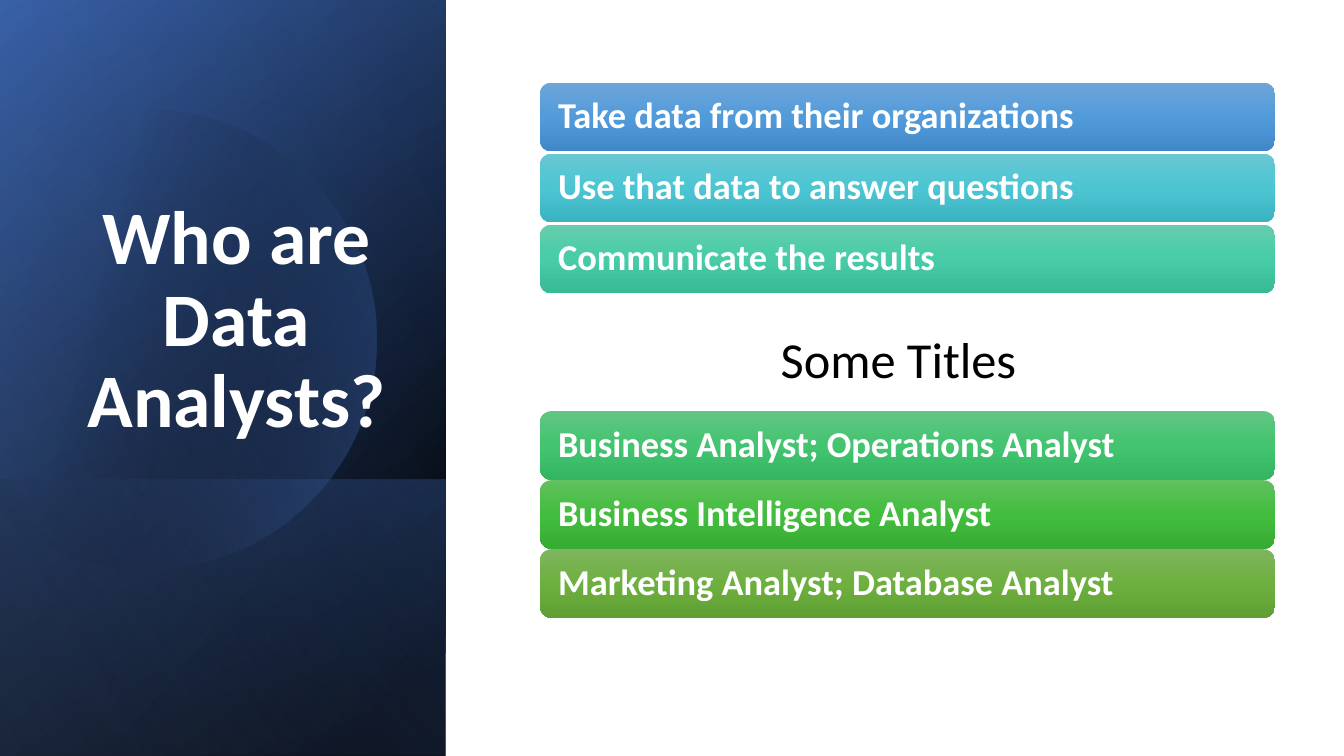
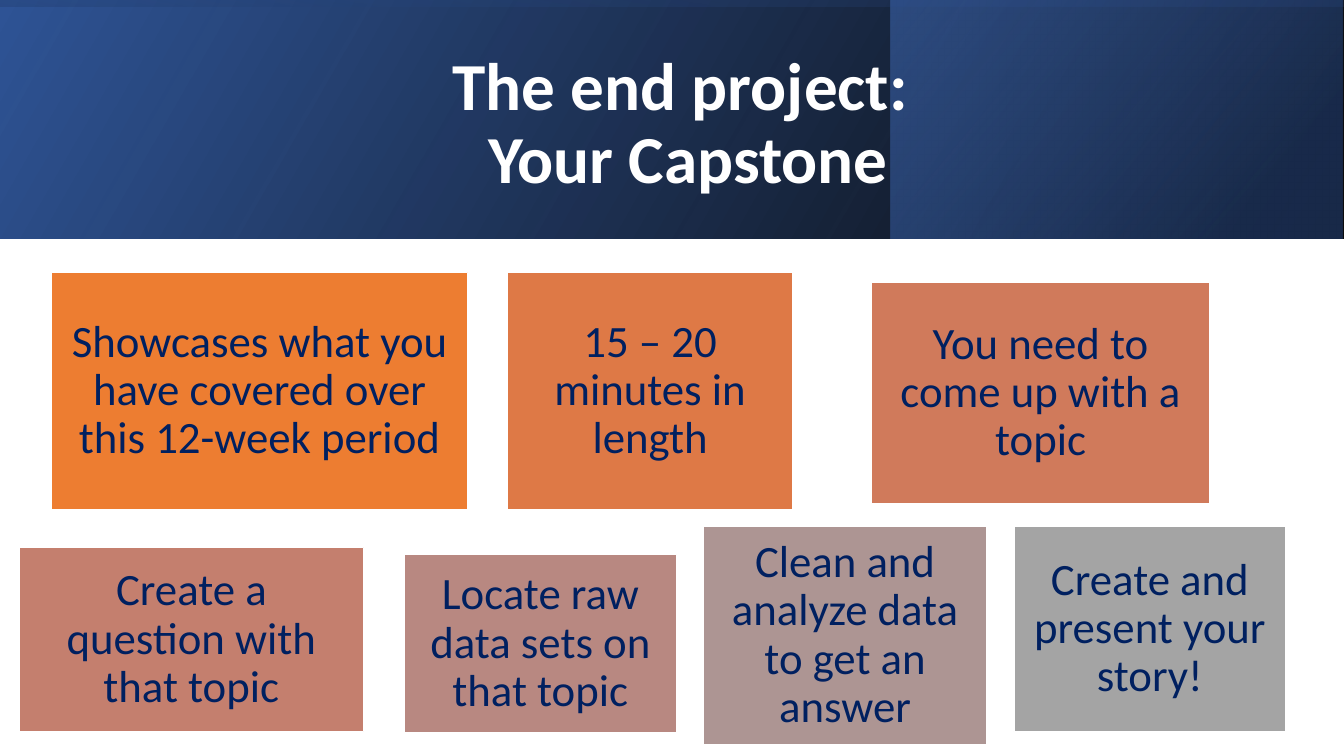
from math import acos, cos, sin

from pptx import Presentation
from pptx.dml.color import RGBColor
from pptx.enum.shapes import MSO_SHAPE
from pptx.enum.text import MSO_ANCHOR, PP_ALIGN
from pptx.oxml import parse_xml
from pptx.oxml.ns import nsdecls, qn
from pptx.util import Cm, Pt

PAGE_WIDTH, PAGE_HEIGHT = 33.87, 19.05
SIDE_WIDTH, BAND_HEIGHT = 11.23, 6.02

BLACK = RGBColor(0x00, 0x00, 0x00)
WHITE = RGBColor(0xFF, 0xFF, 0xFF)
NAVY = RGBColor(0x00, 0x20, 0x60)
BLUE = RGBColor(0x44, 0x72, 0xC4)
MID_BLUE = RGBColor(0x2F, 0x54, 0x96)
DARK_BLUE = RGBColor(0x1F, 0x38, 0x64)
PALE_BLUE = RGBColor(0x8D, 0xA9, 0xDB)

SKY = [RGBColor(0x6E, 0xA5, 0xDA), RGBColor(0x52, 0x9B, 0xDA), RGBColor(0x41, 0x88, 0xC8)]
TEAL = [RGBColor(0x6A, 0xC7, 0xD3), RGBColor(0x4C, 0xC5, 0xD3), RGBColor(0x3B, 0xB3, 0xC1)]
MINT = [RGBColor(0x66, 0xCD, 0xAE), RGBColor(0x47, 0xCC, 0xA7), RGBColor(0x37, 0xBB, 0x96)]
JADE = [RGBColor(0x62, 0xC6, 0x83), RGBColor(0x43, 0xC4, 0x70), RGBColor(0x33, 0xB5, 0x61)]
GREEN = [RGBColor(0x61, 0xC0, 0x5F), RGBColor(0x43, 0xBD, 0x3E), RGBColor(0x36, 0xAC, 0x32)]
OLIVE = [RGBColor(0x7E, 0xB5, 0x5F), RGBColor(0x6E, 0xB0, 0x3F), RGBColor(0x5F, 0x9F, 0x34)]

ORANGE = RGBColor(0xED, 0x7D, 0x31)
COPPER = RGBColor(0xDE, 0x79, 0x46)
CORAL = RGBColor(0xD0, 0x7A, 0x5B)
ROSE = RGBColor(0xC4, 0x7F, 0x6E)
DUSTY_ROSE = RGBColor(0xB8, 0x88, 0x81)
MAUVE = RGBColor(0xAD, 0x95, 0x93)
GREY = RGBColor(0xA4, 0xA4, 0xA4)


class Deck:
    """Holds the shared style and the slide being built."""

    font = "Calibri"

    def __init__(self):
        self.deck = Presentation()
        self.deck.slide_width = Cm(PAGE_WIDTH)
        self.deck.slide_height = Cm(PAGE_HEIGHT)
        self.page = None

    def new_page(self):
        self.page = self.deck.slides.add_slide(self.deck.slide_layouts[6])

    def shape(self, kind, left, top, width, height):
        shape = self.page.shapes.add_shape(kind, Cm(left), Cm(top), Cm(width), Cm(height))
        shape.shadow.inherit = False
        shape.line.fill.background()
        return shape

    def gradient(self, shape, stops, angle):
        stop_xml = "".join(
            f'<a:gs pos="{position * 1000}"><a:srgbClr val="{color}">'
            f'<a:alpha val="{opacity * 1000}"/></a:srgbClr></a:gs>'
            for position, color, opacity in stops
        )
        shape.fill.solid()
        properties = shape._element.spPr
        properties.replace(properties.find(qn("a:solidFill")), parse_xml(
            f'<a:gradFill {nsdecls("a")} rotWithShape="1"><a:gsLst>{stop_xml}</a:gsLst>'
            f'<a:lin ang="{angle * 60000}" scaled="0"/></a:gradFill>'
        ))

    def panel(self, left, top, width, height, stops, angle, turn=0):
        if turn:
            left, top = left + (width - height) / 2, top + (height - width) / 2
            width, height = height, width
        panel = self.shape(MSO_SHAPE.RECTANGLE, left, top, width, height)
        panel.rotation = turn
        panel._element.spPr.xfrm.set("flipH", "1")
        self.gradient(panel, stops, angle)

    def cut_circle(self, center_x, center_y, radius, stops, angle, steps=120):
        reach = acos(-center_x / radius)
        turns = [reach * (2 * step / steps - 1) for step in range(steps + 1)]
        points = [(Cm(center_x + radius * cos(turn)), Cm(center_y + radius * sin(turn)))
                  for turn in turns]
        builder = self.page.shapes.build_freeform(*points[0])
        builder.add_line_segments(points[1:], close=True)
        circle = builder.convert_to_shape()
        circle.shadow.inherit = False
        circle.line.fill.background()
        self.gradient(circle, stops, angle)

    def fill_text(self, box, text, size, color, bold=False, align=PP_ALIGN.CENTER,
                  anchor=MSO_ANCHOR.MIDDLE, inset=(0.25, 0.13), spacing=0.9):
        frame = box.text_frame
        frame.word_wrap = True
        frame.vertical_anchor = anchor
        frame.margin_left = frame.margin_right = Cm(inset[0])
        frame.margin_top = frame.margin_bottom = Cm(inset[1])
        para = frame.paragraphs[0]
        para.text = text
        para.alignment = align
        para.line_spacing = spacing
        for span in para.runs:
            span.font.name = self.font
            span.font.size = Pt(size)
            span.font.bold = bold
            span.font.color.rgb = color

    def text(self, left, top, width, height, text, size, color, **style):
        box = self.page.shapes.add_textbox(Cm(left), Cm(top), Cm(width), Cm(height))
        self.fill_text(box, text, size, color, **style)

    def title(self, left, top, width, height, text, size, anchor=MSO_ANCHOR.MIDDLE):
        self.text(left, top, width, height, text, size, WHITE, bold=True, anchor=anchor)

    def bars(self, top, pitch, rows):
        for index, (text, colors) in enumerate(rows):
            bar = self.shape(MSO_SHAPE.ROUNDED_RECTANGLE, 13.61, top + index * pitch, 18.52, 1.73)
            stops = [(position, color, 100) for position, color in zip((0, 50, 100), colors)]
            self.gradient(bar, stops, 90)
            self.fill_text(bar, text, 26, WHITE, bold=True, align=PP_ALIGN.LEFT,
                           inset=(0.37, 0.28))

    def card(self, left, top, width, height, color, text):
        card = self.shape(MSO_SHAPE.RECTANGLE, left, top, width, height)
        card.fill.solid()
        card.fill.fore_color.rgb = color
        card.line.color.rgb = WHITE
        card.line.width = Pt(1)
        self.fill_text(card, text, 32, NAVY, inset=(0.33, 0.33))


def build_analysts(deck):
    deck.new_page()
    side = (0, 0, SIDE_WIDTH, PAGE_HEIGHT)
    deck.panel(*side, [(0, BLACK, 100), (8, BLACK, 100), (100, MID_BLUE, 100)], 50, 90)
    deck.panel(*side, [(0, BLACK, 0), (99, BLUE, 46), (100, BLUE, 46)], 30, 90)
    deck.panel(0, 12.09, SIDE_WIDTH, 6.96,
               [(0, BLUE, 29), (2, BLUE, 29), (100, BLACK, 30)], 130, 90)
    deck.cut_circle(3.68, 8.55, 5.8, [(0, BLACK, 0), (29, BLACK, 0), (100, BLUE, 43)], 14)
    deck.panel(*side, [(0, BLACK, 0), (99, PALE_BLUE, 11), (100, PALE_BLUE, 11)], 120, 90)
    deck.title(1.63, 4.67, 8.66, 6.65, "Who are Data Analysts?", 54, MSO_ANCHOR.BOTTOM)
    deck.bars(2.08, 1.79, [
        ("Take data from their organizations", SKY),
        ("Use that data to answer questions", TEAL),
        ("Communicate the results", MINT),
    ])
    deck.text(18.62, 8.15, 8.05, 1.8, "Some Titles", 36, BLACK, anchor=MSO_ANCHOR.TOP, spacing=1.0)
    deck.bars(10.36, 1.74, [
        ("Business Analyst; Operations Analyst", JADE),
        ("Business Intelligence Analyst", GREEN),
        ("Marketing Analyst; Database Analyst", OLIVE),
    ])


def build_capstone(deck):
    deck.new_page()
    band = (0, 0, PAGE_WIDTH, BAND_HEIGHT)
    deck.panel(*band, [(0, BLACK, 96), (100, MID_BLUE, 100)], 330)
    deck.panel(22.45, 0, 11.38, BAND_HEIGHT,
               [(0, DARK_BLUE, 68), (19, DARK_BLUE, 68), (100, BLUE, 48)], 320)
    deck.panel(*band, [(0, MID_BLUE, 16), (23, MID_BLUE, 16), (99, BLACK, 45), (100, BLACK, 45)],
               350, 270)
    deck.title(3.84, 0.97, 27, 4.37, "The end project: \vYour Capstone", 48)
    cards = [
        (1.3, 6.86, 10.49, 5.99, ORANGE, "Showcases what you have covered over this 12-week period"),
        (12.78, 6.86, 7.21, 5.99, COPPER, "15 – 20 minutes in length"),
        (21.97, 7.11, 8.51, 5.59, CORAL, "You need to come up with a topic"),
        (0.48, 13.79, 8.69, 4.65, ROSE, "Create a question with that topic"),
        (10.19, 13.97, 6.86, 4.5, DUSTY_ROSE, "Locate raw data sets on that topic"),
        (17.73, 13.26, 7.14, 5.51, MAUVE, "Clean and analyze data to get an answer"),
        (25.55, 13.26, 6.86, 5.18, GREY, "Create and present your story!"),
    ]
    for card in cards:
        deck.card(*card)


def main():
    deck = Deck()
    build_analysts(deck)
    build_capstone(deck)
    deck.deck.save("out.pptx")


if __name__ == "__main__":
    main()
